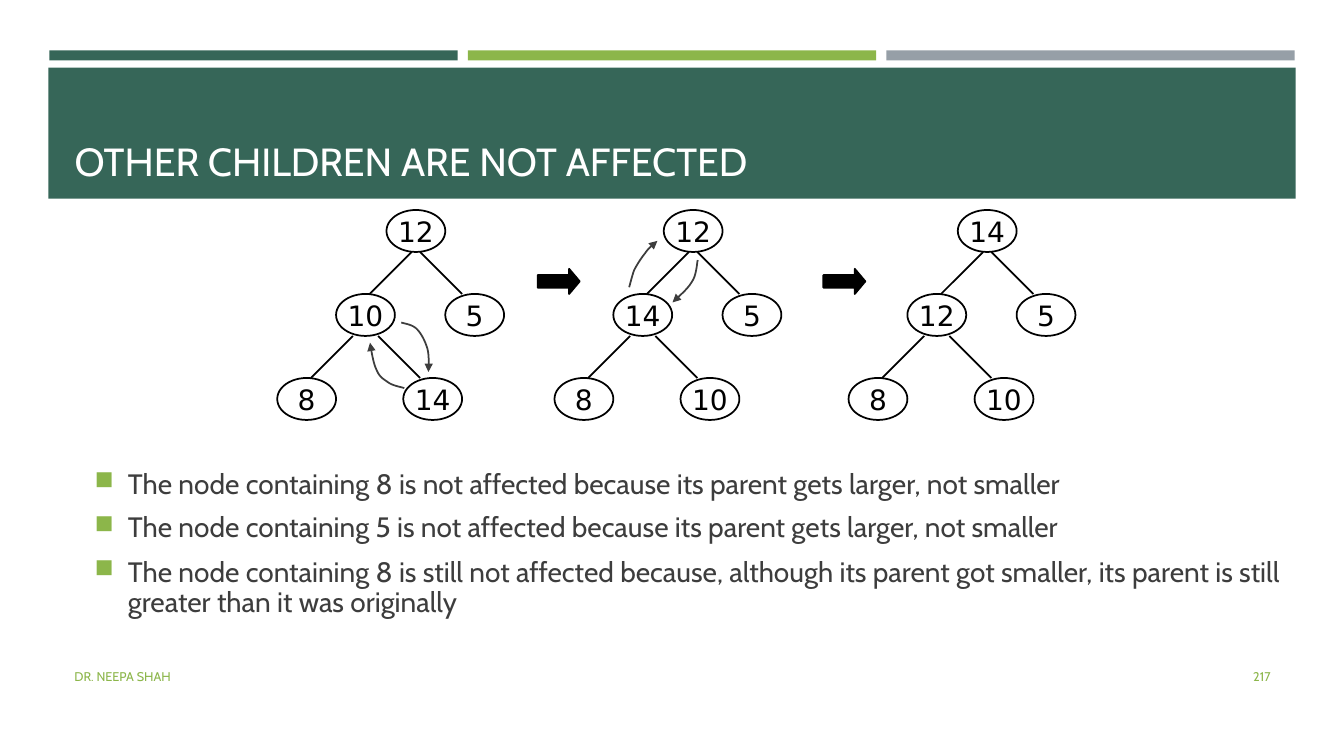
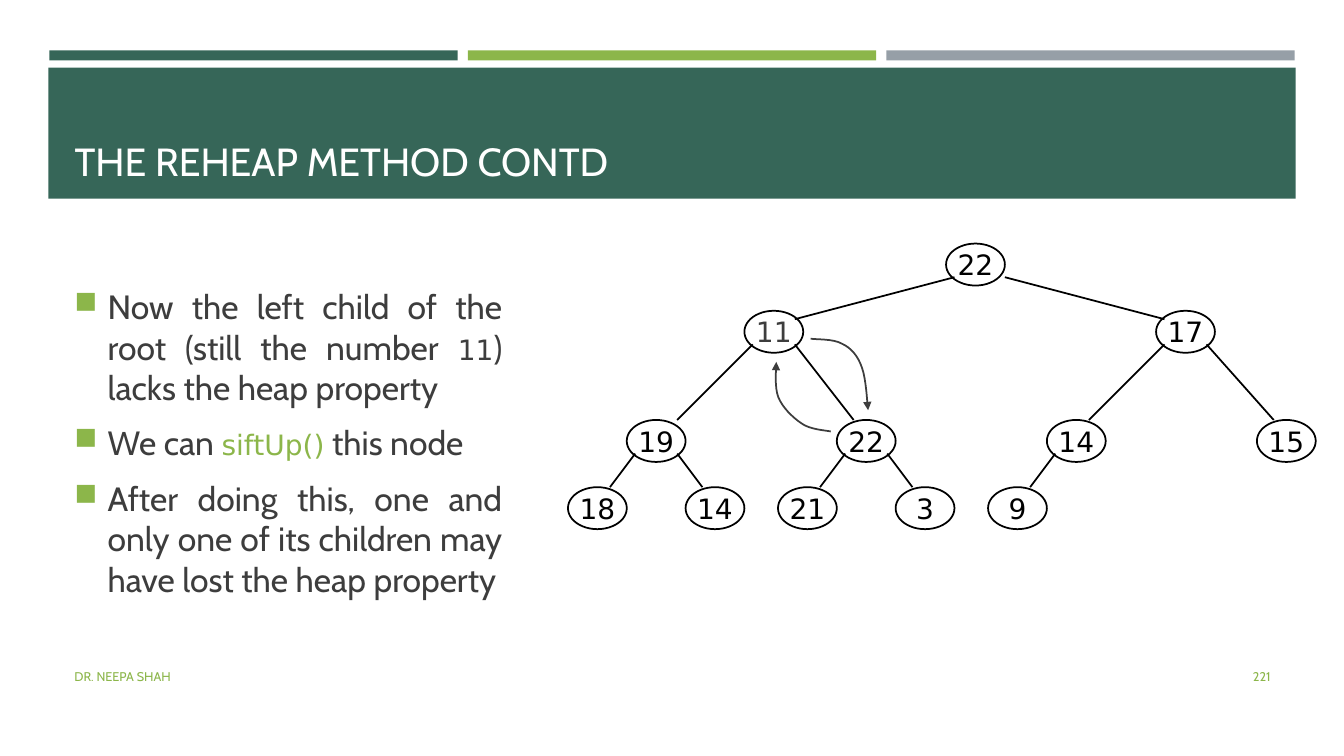
"""Two heap lecture slides with shared bands, title and footer."""
from lxml.etree import SubElement
from pptx import Presentation
from pptx.dml.color import RGBColor
from pptx.enum.shapes import MSO_CONNECTOR, MSO_SHAPE as Shape
from pptx.enum.text import MSO_ANCHOR as Anchor, PP_ALIGN as Align
from pptx.oxml.ns import qn
from pptx.util import Inches, Pt

GREEN = RGBColor(0x36, 0x66, 0x58)
LIME = RGBColor(0x8C, 0xB6, 0x4A)
GREY = RGBColor(0x96, 0x9F, 0xA7)
INK = RGBColor(0x3D, 0x3D, 0x3D)
BLACK = RGBColor(0, 0, 0)
WHITE = RGBColor(255, 255, 255)
SANS, CODE = "Cabin", "DejaVu Sans"
LINE = Pt(1.25)
UNIT = 1 / 12
NODE_COLS, NODE_ROWS = 7, 5

SMALL_SPOTS = {"root": (0, 0), "left": (-6, 10), "right": (7, 10),
               "leaf1": (-13, 20), "leaf2": (2, 20)}
SMALL_EDGES = [("root", "left", (3, 5), (4, 0)), ("root", "right", (4, 5), (2, 0)),
               ("left", "leaf1", (2, 5), (4, 0)), ("left", "leaf2", (5, 5), (2, 0))]
SMALL_TREES = [(46, 25, ("12", "10", "5", "8", "14")),
               (79, 25, ("12", "14", "5", "8", "10")),
               (114, 25, ("14", "12", "5", "8", "10"))]
BLOCK_ARROWS = [(64, 32), (98, 32)]

BIG_LABELS = ("22", "11", "17", "19", "22", "14", "15", "18", "14", "21", "3", "9")
BIG_SPOTS = {"root": (0, 0), "left": (-24, 8), "right": (25, 8),
             "ll": (-38, 21), "lr": (-13, 21), "rl": (12, 21), "rr": (37, 21),
             "lll": (-45, 29), "llr": (-31, 29), "lrl": (-20, 29),
             "lrr": (-6, 29), "rll": (5, 29)}
BIG_EDGES = [("root", "left", (1, 4), (6, 1)), ("root", "right", (7, 4), (1, 1)),
             ("left", "ll", (1, 4), (6, 0)), ("left", "lr", (6, 4), (2, 0)),
             ("right", "rl", (1, 4), (5, 0)), ("right", "rr", (6, 4), (2, 0)),
             ("ll", "lll", (1, 4), (5, 0)), ("ll", "llr", (6, 4), (2, 0)),
             ("lr", "lrl", (1, 4), (5, 0)), ("lr", "lrr", (6, 4), (2, 0)),
             ("rl", "rll", (1, 4), (5, 0))]

SMALL_CURVES = [
    [(4.01, 3.85), (3.98, 3.84), (3.91, 3.83), (3.86, 3.8), (3.82, 3.77),
     (3.77, 3.75), (3.74, 3.68), (3.7, 3.61), (3.68, 3.45), (3.67, 3.4)],
    [(3.98, 3.2), (4.01, 3.21), (4.1, 3.22), (4.14, 3.27), (4.18, 3.31),
     (4.22, 3.39), (4.24, 3.46), (4.26, 3.53), (4.25, 3.64), (4.25, 3.69)],
    [(6.24, 2.85), (6.25, 2.82), (6.27, 2.73), (6.29, 2.68), (6.32, 2.62),
     (6.36, 2.56), (6.4, 2.51), (6.43, 2.46), (6.49, 2.42), (6.52, 2.39)],
    [(6.92, 2.58), (6.91, 2.62), (6.91, 2.73), (6.86, 2.8), (6.82, 2.87),
     (6.71, 2.96), (6.67, 3)]]
BIG_CURVES = [
    [(8.04, 3.36), (8.09, 3.37), (8.27, 3.36), (8.35, 3.41), (8.44, 3.45),
     (8.51, 3.53), (8.55, 3.65), (8.59, 3.76), (8.6, 3.98), (8.61, 4.07)],
    [(8.24, 4.28), (8.19, 4.27), (8.03, 4.26), (7.95, 4.2), (7.86, 4.14),
     (7.76, 4.04), (7.72, 3.94), (7.68, 3.84), (7.7, 3.66), (7.7, 3.59)]]

SIBLING_POINTS = [
    ["The node containing 8 is not affected because its parent gets larger, not smaller"],
    ["The node containing 5 is not affected because its parent gets larger, not smaller"],
    ["The node containing 8 is still not affected because, although its parent got smaller, "
     "its parent is still greater than it was originally"]]
REHEAP_POINTS = [
    ["Now the left child of the root (still the number ", ("11", INK),
     ") lacks the heap property"],
    ["We can ", ("siftUp()", LIME), " this node"],
    ["After doing this, one and only one of its children may have lost the heap property"]]


def style(font, size, color, name=SANS):
    font.size, font.name, font.color.rgb = Pt(size), name, color


def add_preset(page, kind, left, top, width, height, fill=None, line=None):
    shape = page.shapes.add_shape(kind, *map(Inches, (left, top, width, height)))
    shape.shadow.inherit = False
    if fill is None:
        shape.fill.background()
    else:
        shape.fill.solid()
        shape.fill.fore_color.rgb = fill
    if line is None:
        shape.line.fill.background()
    else:
        shape.line.color.rgb, shape.line.width = line, LINE
    return shape


def add_box(page, left, top, width, height):
    frame = page.shapes.add_textbox(*map(Inches, (left, top, width, height))).text_frame
    frame.word_wrap, frame.vertical_anchor = True, Anchor.MIDDLE
    return frame


def add_footer(page, left, width, text, align):
    para = add_box(page, left, 6.51, width, 0.4).paragraphs[0]
    para.text, para.alignment = text, align
    style(para.font, 9, LIME)


def start_page(deck, title_text, number):
    page = deck.slides.add_slide(deck.slide_layouts[5])
    for index, color in enumerate((GREEN, LIME, GREY)):
        add_preset(page, Shape.RECTANGLE, 0.49 + index * 4.15, 0.5, 4.05, 0.1, color)
    add_preset(page, Shape.RECTANGLE, 0.48, 0.67, 12.37, 1.3, GREEN)
    title = page.shapes.title
    page.shapes._spTree.append(title._element)
    title.left, title.top, title.width, title.height = map(Inches, (0.64, 0.77, 12.06, 1.11))
    title.text_frame.vertical_anchor = Anchor.BOTTOM
    para = title.text_frame.paragraphs[0]
    para.text, para.alignment = title_text, Align.LEFT
    style(para.font, 28, WHITE)
    add_footer(page, 0.64, 7.56, "DR. NEEPA SHAH", Align.LEFT)
    add_footer(page, 11.55, 1.15, number, Align.RIGHT)
    return page


def add_bullet(para):
    props = para._p.get_or_add_pPr()
    props.set("marL", str(Inches(0.33)))
    props.set("indent", str(-Inches(0.33)))
    SubElement(SubElement(props, qn("a:buClr")), qn("a:srgbClr")).set("val", str(LIME))
    SubElement(props, qn("a:buSzPct")).set("val", "92000")
    SubElement(props, qn("a:buChar")).set("char", "■")


def add_points(page, area, points, size, align, spacing):
    frame = add_box(page, *area)
    for index, pieces in enumerate(points):
        para = frame.add_paragraph() if index else frame.paragraphs[0]
        add_bullet(para)
        para.alignment, para.space_after = align, Pt(6)
        if index:
            para.space_before, para.line_spacing = Pt(size * 0.2), spacing
        for piece in pieces:
            span = para.add_run()
            if isinstance(piece, tuple):
                span.text = piece[0]
                style(span.font, 20, piece[1], CODE)
            else:
                span.text = piece
                if len(pieces) > 1:
                    style(span.font, size, INK)
        if len(pieces) == 1:
            style(para.font, size, INK)


def add_node(page, label, col, row, color):
    node = add_preset(page, Shape.OVAL, col * UNIT, row * UNIT,
                      NODE_COLS * UNIT, NODE_ROWS * UNIT, line=BLACK)
    frame = node.text_frame
    frame.word_wrap, frame.vertical_anchor = False, Anchor.MIDDLE
    frame.margin_left = frame.margin_right = frame.margin_top = frame.margin_bottom = 0
    para = frame.paragraphs[0]
    para.text, para.alignment = label, Align.CENTER
    style(para.font, 20, color, CODE)


def add_tree(page, col, row, labels, spots, edges, marked=None):
    places = {key: (col + dx, row + dy) for key, (dx, dy) in spots.items()}
    for label, (key, place) in zip(labels, places.items()):
        add_node(page, label, *place, INK if key == marked else BLACK)
    for parent, child, leave, arrive in edges:
        ends = [Inches((base + shift) * UNIT)
                for key, offset in ((parent, leave), (child, arrive))
                for base, shift in zip(places[key], offset)]
        edge = page.shapes.add_connector(MSO_CONNECTOR.STRAIGHT, *ends)
        edge.line.color.rgb, edge.line.width = BLACK, LINE
        SubElement(edge._element.spPr, qn("a:effectLst"))


def bezier(points, steps=8):
    for start in range(0, len(points) - 1, 3):
        p0, p1, p2, p3 = points[start:start + 4]
        for step in range(1, steps + 1):
            t = step / steps
            u = 1 - t
            yield tuple(Inches(u**3 * a + 3 * u * u * t * b + 3 * u * t * t * c + t**3 * d)
                        for a, b, c, d in zip(p0, p1, p2, p3))


def add_curve(page, points):
    builder = page.shapes.build_freeform(*map(Inches, points[0]))
    builder.add_line_segments(list(bezier(points)), close=False)
    curve = builder.convert_to_shape()
    curve.shadow.inherit = False
    curve.fill.background()
    curve.line.color.rgb, curve.line.width = INK, LINE
    SubElement(curve.line._get_or_add_ln(), qn("a:tailEnd")).set("type", "triangle")


def main():
    deck = Presentation()
    deck.slide_width, deck.slide_height = Inches(13.33), Inches(7.5)

    page = start_page(deck, "OTHER CHILDREN ARE NOT AFFECTED", "217")
    add_points(page, (0.84, 3.37, 12.06, 4.02), SIBLING_POINTS, 20, Align.LEFT, 0.9)
    for col, row, labels in SMALL_TREES:
        add_tree(page, col, row, labels, SMALL_SPOTS, SMALL_EDGES)
    for col, row in BLOCK_ARROWS:
        arrow = add_preset(page, Shape.RIGHT_ARROW, col * UNIT, row * UNIT,
                           5 * UNIT, 3 * UNIT, BLACK, BLACK)
        arrow.adjustments[1] = 0.42
    for points in SMALL_CURVES:
        add_curve(page, points)

    page = start_page(deck, "THE REHEAP METHOD CONTD", "221")
    add_points(page, (0.64, 2.38, 4.44, 4.02), REHEAP_POINTS, 24, Align.JUSTIFY, 1.0)
    add_tree(page, 112.6, 29, BIG_LABELS, BIG_SPOTS, BIG_EDGES, marked="left")
    for points in BIG_CURVES:
        add_curve(page, points)

    deck.save("out.pptx")


if __name__ == "__main__":
    main()
